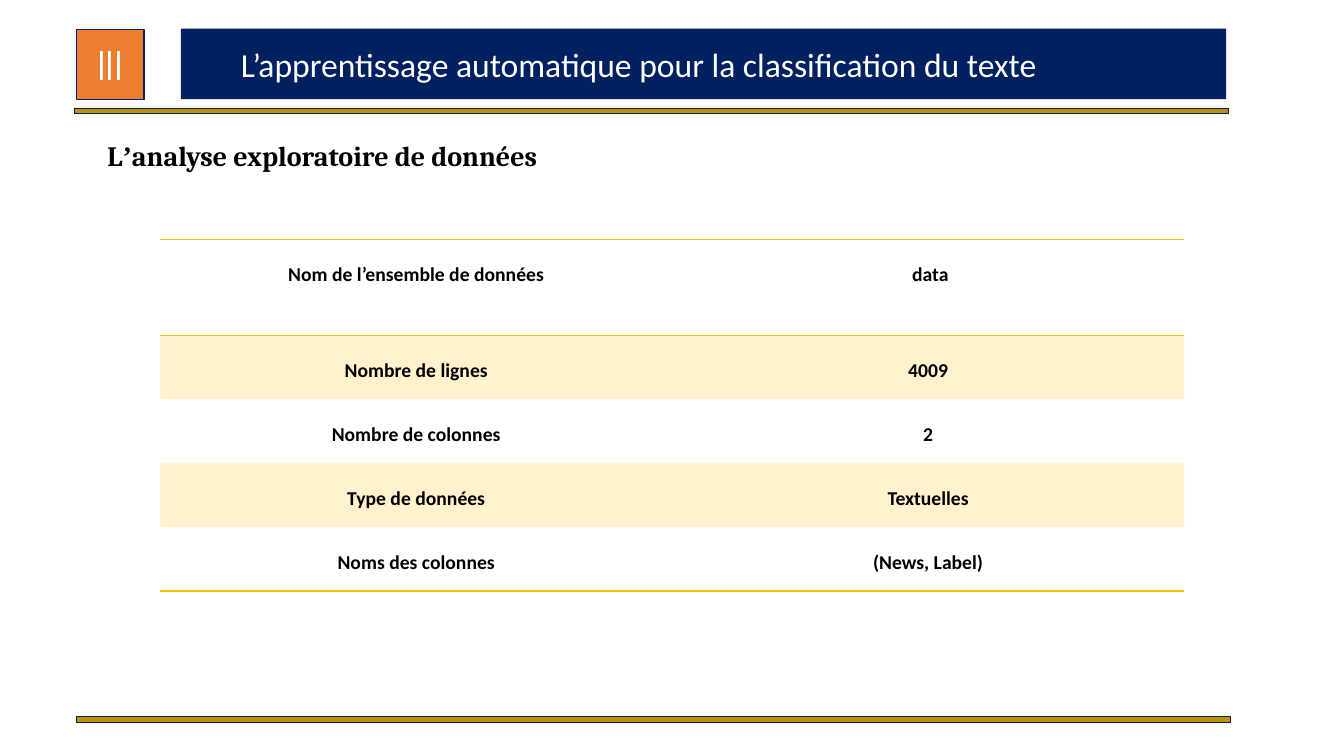
"""Build the slide on exploratory data analysis for text classification."""
from lxml.etree import SubElement
from pptx import Presentation
from pptx.dml.color import RGBColor
from pptx.enum.shapes import MSO_SHAPE as Preset
from pptx.enum.text import MSO_ANCHOR as Anchor, PP_ALIGN as Align
from pptx.oxml import parse_xml
from pptx.oxml.ns import nsdecls, qn
from pptx.util import Cm, Pt

SECTION = "III"
TITLE = "L’apprentissage automatique pour la classification du texte"
HEADING = [("L", "Cambria"), ("’", "Times New Roman"),
           ("analyse exploratoire de données", "Cambria")]
DATASET = [
    ("Nom de l’ensemble de données", " data"),
    ("Nombre de lignes", "4009"),
    ("Nombre de colonnes", "2"),
    ("Type de données", "Textuelles"),
    ("Noms des colonnes", "(News, Label)"),
]

NAVY = RGBColor(0x00, 0x20, 0x60)
ORANGE = RGBColor(0xED, 0x7D, 0x31)
GOLD = RGBColor(0xBF, 0x90, 0x00)
AMBER = RGBColor(0xFF, 0xC0, 0x00)
WHITE = RGBColor(0xFF, 0xFF, 0xFF)
BLACK = RGBColor(0x00, 0x00, 0x00)

RULES = [(1.93, 18.06), (1.88, 2.72)]
RULE_WIDTH, RULE_HEIGHT = 29.08, 0.13
TABLE_LEFT, TABLE_TOP, COLUMN_WIDTH = 4.04, 6.03, 12.9
FIRST_ROW, OTHER_ROW = 2.42, 1.61
NO_STYLE = "{2D5ABB26-0587-4C30-8999-92F81FD0307C}"


def write(frame, runs, font="Calibri", size=14, color=BLACK, bold=False,
          align=None, spacing=None, before=None, after=None):
    """Write one paragraph, given as a string or as (text, font) runs."""
    paragraph = frame.paragraphs[0]
    paragraph.alignment = align
    paragraph.line_spacing = spacing
    paragraph.space_before = before
    paragraph.space_after = after
    for words, face in [(runs, font)] if isinstance(runs, str) else runs:
        run = paragraph.add_run()
        run.text = words
        run.font.name, run.font.size = face, Pt(size)
        run.font.bold, run.font.color.rgb = bold, color


def add_bar(slide, left, top, width, height, fill, line_width=None):
    """Add a filled rectangle, outlined in navy when a line width is given."""
    bar = slide.shapes.add_shape(Preset.RECTANGLE, Cm(left), Cm(top), Cm(width), Cm(height))
    bar.shadow.inherit = False
    bar.fill.solid()
    bar.fill.fore_color.rgb = fill
    if line_width:
        bar.line.color.rgb, bar.line.width = NAVY, Pt(line_width)
    else:
        bar.line.fill.background()
    return bar


def add_label(slide, left, top, width, height, runs, **style):
    """Add a wrapping text box."""
    label = slide.shapes.add_textbox(Cm(left), Cm(top), Cm(width), Cm(height))
    label.text_frame.word_wrap = True
    write(label.text_frame, runs, **style)


def add_borders(cell, sides):
    """Draw amber lines on the given sides (T, B) of a cell."""
    for place, side in enumerate(sides):
        cell._tc.get_or_add_tcPr().insert(place, parse_xml(
            f'<a:ln{side} {nsdecls("a")} w="{Pt(1)}"><a:solidFill>'
            f'<a:srgbClr val="{AMBER}"/></a:solidFill></a:ln{side}>'))


def tint(cell):
    """Fill a cell with amber at 20 % opacity."""
    cell.fill.solid()
    cell.fill.fore_color.rgb = AMBER
    amber = cell._tc.tcPr.find(".//" + qn("a:srgbClr"))
    SubElement(amber, qn("a:alpha")).set("val", "20000")


def add_dataset(slide):
    """Add the table that describes the data set."""
    last = len(DATASET) - 1
    dataset = slide.shapes.add_table(
        len(DATASET), 2, Cm(TABLE_LEFT), Cm(TABLE_TOP),
        Cm(2 * COLUMN_WIDTH), Cm(FIRST_ROW + last * OTHER_ROW)).table
    dataset.first_row = dataset.horz_banding = False
    dataset._tbl.tblPr.find(qn("a:tableStyleId")).text = NO_STYLE
    for column in dataset.columns:
        column.width = Cm(COLUMN_WIDTH)
    for r, entry in enumerate(DATASET):
        dataset.rows[r].height = Cm(OTHER_ROW if r else FIRST_ROW)
        for c, words in enumerate(entry):
            cell = dataset.cell(r, c)
            cell.margin_left = cell.margin_right = Cm(0.18)
            cell.margin_top = cell.margin_bottom = 0
            write(cell.text_frame, words, bold=True, align=Align.CENTER, spacing=2.0,
                  before=Pt(0 if c else 10), after=Pt(6 if c else 8))
            if r % 2:
                tint(cell)
            else:
                cell.fill.background()
            add_borders(cell, {0: "TB", last: "B"}.get(r, ""))


def main():
    """Compose and save the slide."""
    deck = Presentation()
    deck.slide_width, deck.slide_height = Cm(33.87), Cm(19.05)
    slide = deck.slides.add_slide(deck.slide_layouts[6])
    for left, top in RULES:
        add_bar(slide, left, top, RULE_WIDTH, RULE_HEIGHT, GOLD, 0.25)
    add_label(slide, 2.46, 3.23, 31.4, 1.17, HEADING, size=20, bold=True,
              spacing=1.15, before=Pt(2))
    add_dataset(slide)
    add_bar(slide, 4.56, 0.72, 26.34, 1.78, NAVY)
    section = add_bar(slide, 1.93, 0.75, 1.7, 1.76, ORANGE, 1)
    section.text_frame.vertical_anchor = Anchor.MIDDLE
    write(section.text_frame, SECTION, font="TeX Gyre Adventor", size=28,
          color=WHITE, align=Align.CENTER)
    add_label(slide, 5.82, 0.97, 24.28, 1.27, TITLE, size=24, color=WHITE)
    deck.save("out.pptx")


if __name__ == "__main__":
    main()
